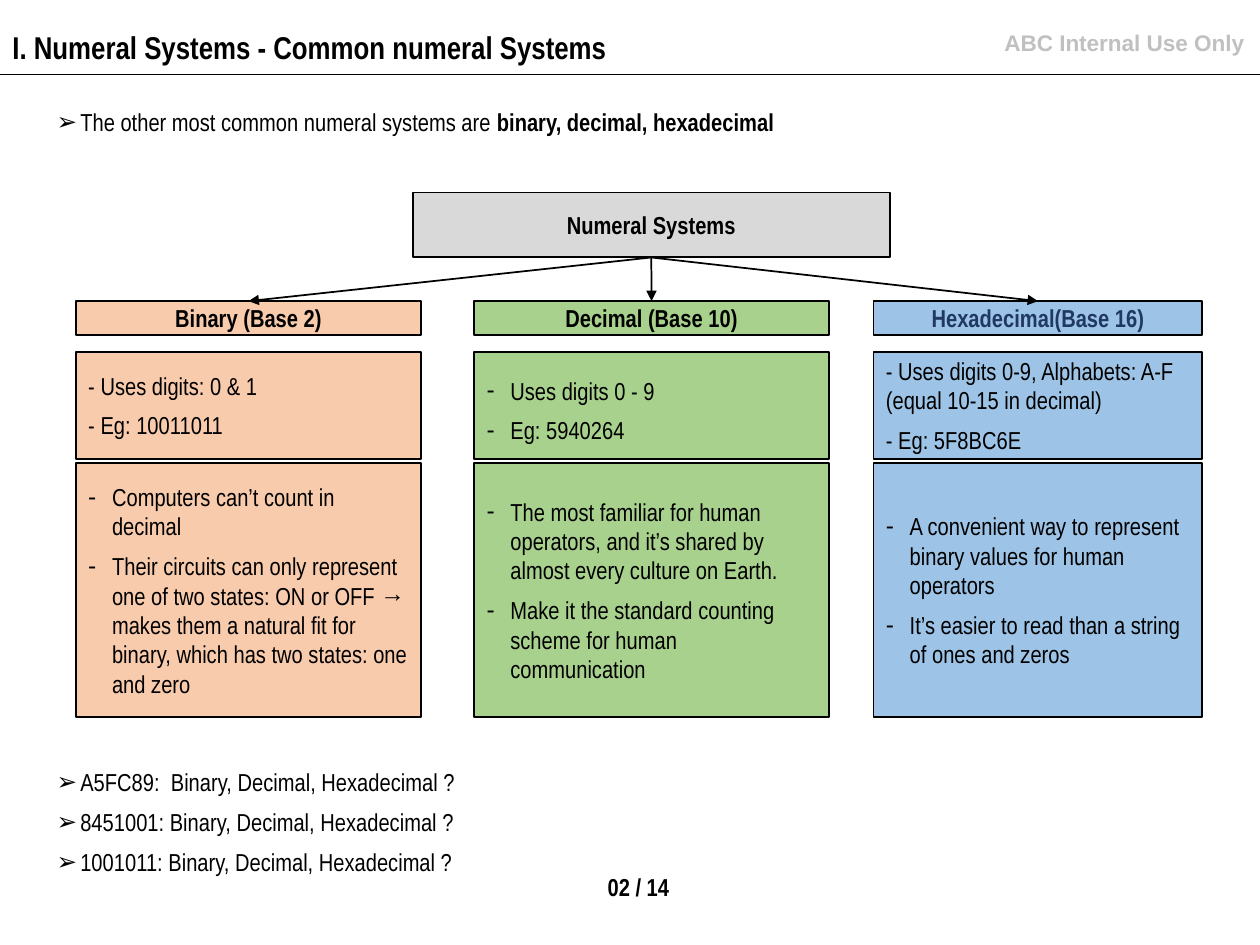
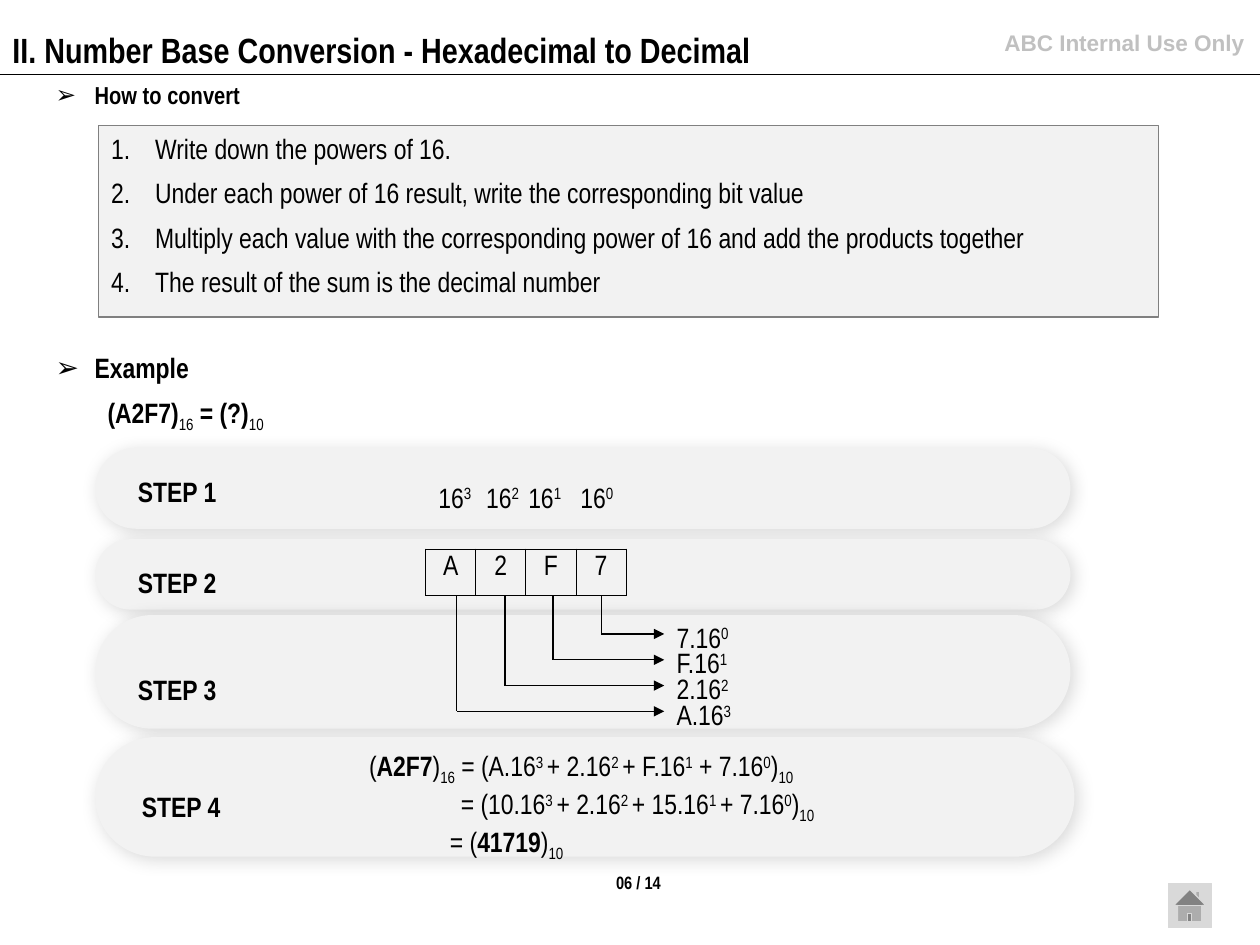
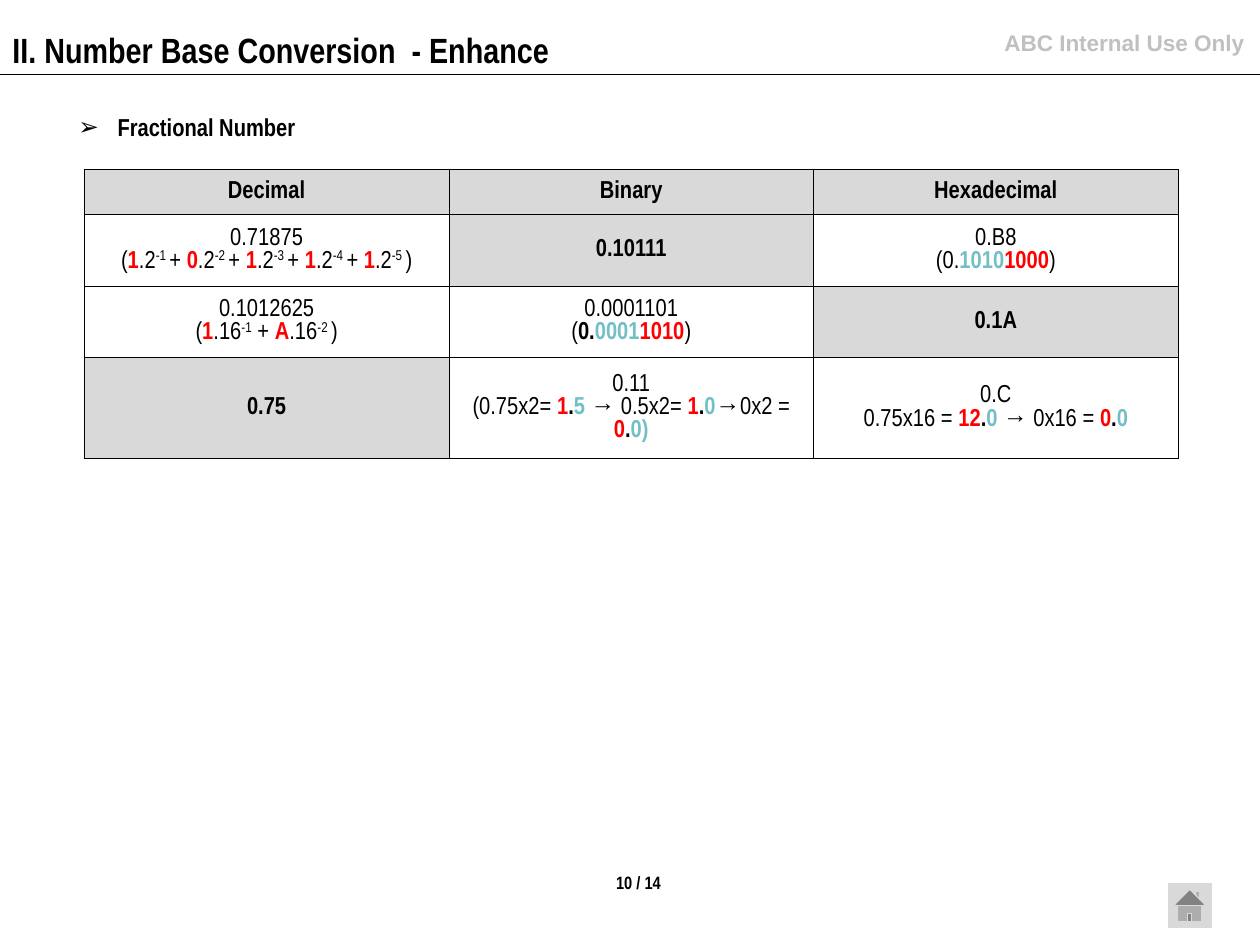
from dataclasses import dataclass, field
from typing import Any, NamedTuple, Optional, Union

from lxml import etree
from pptx import Presentation
from pptx.dml.color import RGBColor
from pptx.enum.shapes import MSO_CONNECTOR, MSO_SHAPE
from pptx.enum.text import MSO_ANCHOR, PP_ALIGN
from pptx.oxml.ns import qn
from pptx.util import Cm, Pt

RECT = MSO_SHAPE.RECTANGLE
PILL = MSO_SHAPE.ROUNDED_RECTANGLE
HOME = MSO_SHAPE.ACTION_BUTTON_HOME
STRAIGHT = MSO_CONNECTOR.STRAIGHT
LEFT, CENTER, RIGHT = PP_ALIGN.LEFT, PP_ALIGN.CENTER, PP_ALIGN.RIGHT
TOP, MIDDLE = MSO_ANCHOR.TOP, MSO_ANCHOR.MIDDLE
BOTTOM_SIDE, TOP_SIDE = 2, 0


@dataclass(frozen=True)
class Theme:
    font: str = "Arial Narrow"
    label_font: str = "Arial"
    black: str = "000000"
    white: str = "FFFFFF"
    label: str = "C0C0C0"
    gray: str = "D9D9D9"
    panel: str = "F2F2F2"
    border: str = "808080"
    orange: str = "F8CBAD"
    green: str = "A9D18E"
    blue: str = "9DC3E6"
    navy: str = "203864"
    red: str = "FF0000"
    teal: str = "72BFC5"
    title: float = 20
    small_title: float = 18
    large: float = 16
    body: float = 14
    label_size: float = 12.9
    page: float = 10.2


T = Theme()


class Box(NamedTuple):
    left: float
    top: float
    width: float
    height: float


class Run(NamedTuple):
    text: str
    bold: Optional[bool] = None
    color: Optional[str] = None
    base: int = 0


Line = list[Union[str, Run]]


@dataclass(frozen=True)
class Style:
    size: float = T.body
    bold: bool = False
    color: str = T.black
    font: str = T.font
    align: Any = LEFT
    anchor: Any = TOP
    before: float = 0
    spacing: Optional[float] = None
    bullet: str = ""
    indent: float = 0
    tabs: tuple[float, ...] = ()
    insets: tuple[float, float, float, float] = (0.25, 0.13, 0.25, 0.13)
    wrap: bool = True


@dataclass(frozen=True)
class Column:
    left: float
    width: float
    fill: str
    name: str
    digits: list[str]
    details: list[str]
    name_color: str = T.black
    digits_style: Style = field(default_factory=lambda: Style(anchor=MIDDLE, before=6))


class Step(NamedTuple):
    band: Box
    label_left: float
    label_top: float


class Cell(NamedTuple):
    lines: list[Line]
    fill: Optional[str] = None


BULLETS = Style(before=6, bullet="➢", indent=0.48)
DASHES = Style(before=6, bullet="-", indent=0.48, anchor=MIDDLE)
BOX_NAME = Style(bold=True, align=CENTER, anchor=MIDDLE)
HEADING = Style(bold=True, bullet="➢", indent=0.79, spacing=0.9, anchor=MIDDLE)
LARGE = Style(size=T.large)


def bold(text: str) -> Run:
    return Run(text, True)


def red(text: str) -> Run:
    return Run(text, True, T.red)


def teal(text: str) -> Run:
    return Run(text, True, T.teal)


def sup(text: str) -> Run:
    return Run(text, base=30)


def sub(text: str) -> Run:
    return Run(text, False, base=-25)


def rgb(color: str) -> RGBColor:
    return RGBColor.from_string(color)


def cm(values: tuple) -> list[int]:
    return [Cm(v) for v in values]


def apply(obj: Any, formats: dict[str, Any]) -> None:
    for name, value in formats.items():
        setattr(obj, name, value)


def node(parent: Any, tag: str, **attrs: Any) -> Any:
    return etree.SubElement(parent, qn(tag), {k: str(v) for k, v in attrs.items()})


def write_line(p: Any, line: Union[str, Line], st: Style) -> None:
    apply(p, {"alignment": st.align, "space_before": Pt(st.before)})
    if st.spacing:
        p.line_spacing = st.spacing
    pPr = p._p.get_or_add_pPr()
    if st.indent:
        pPr.set("marL", str(Cm(st.indent)))
        pPr.set("indent", str(-Cm(st.indent) if st.bullet else 0))
    if st.bullet == "1.":
        node(pPr, "a:buAutoNum", type="arabicPeriod")
    elif st.bullet:
        node(pPr, "a:buFont", typeface=T.label_font)
        node(pPr, "a:buChar", char=st.bullet)
    if st.tabs:
        tab_list = node(pPr, "a:tabLst")
        for tab in st.tabs:
            node(tab_list, "a:tab", pos=Cm(tab), algn="l")
    for item in [line] if isinstance(line, str) else line:
        part = Run(item) if isinstance(item, str) else item
        r = p.add_run()
        r.text = part.text
        apply(r.font, {
            "name": st.font,
            "size": Pt(st.size),
            "bold": st.bold if part.bold is None else part.bold,
        })
        r.font.color.rgb = rgb(part.color or st.color)
        if part.base:
            r._r.get_or_add_rPr().set("baseline", str(part.base * 1000))


def write(tf: Any, lines: list, st: Style) -> None:
    for i, line in enumerate(lines):
        write_line(tf.paragraphs[0] if i == 0 else tf.add_paragraph(), line, st)


def frame(sp: Any, lines: list, st: Style) -> None:
    sides = ("margin_left", "margin_top", "margin_right", "margin_bottom")
    apply(sp.text_frame, {
        "word_wrap": st.wrap,
        "vertical_anchor": st.anchor,
        **dict(zip(sides, cm(st.insets))),
    })
    write(sp.text_frame, lines, st)


def text(s: Any, box: Box, lines: list, st: Style) -> Any:
    sp = s.shapes.add_textbox(*cm(box))
    frame(sp, lines, st)
    return sp


def shape(s: Any, kind: Any, box: Box, fill: str, line: Optional[str] = None,
          weight: float = 1, lines: Optional[list] = None, st: Style = Style()) -> Any:
    sp = s.shapes.add_shape(kind, *cm(box))
    sp.shadow.inherit = False
    sp.fill.solid()
    sp.fill.fore_color.rgb = rgb(fill)
    if line:
        sp.line.color.rgb = rgb(line)
        sp.line.width = Pt(weight)
    else:
        sp.line.fill.background()
    if lines:
        frame(sp, lines, st)
    return sp


def connector(s: Any, x1: float, y1: float, x2: float, y2: float,
              weight: float = 0.75, arrow: bool = False) -> Any:
    sp = s.shapes.add_connector(STRAIGHT, *cm((x1, y1, x2, y2)))
    sp.line.color.rgb = rgb(T.black)
    sp.line.width = Pt(weight)
    if arrow:
        node(sp.line._get_or_add_ln(), "a:tailEnd", type="triangle")
    node(sp._element.spPr, "a:effectLst")
    return sp


def table(s: Any, left: float, top: float, col_width: float,
          heights: list[float], rows: list[list[Cell]], st: Style) -> None:
    width = col_width * len(rows[0])
    tbl = s.shapes.add_table(len(rows), len(rows[0]),
                             *cm((left, top, width, sum(heights)))).table
    apply(tbl, {"first_row": False, "horz_banding": False})
    for col in tbl.columns:
        col.width = Cm(col_width)
    for row, height, cells in zip(tbl.rows, heights, rows):
        row.height = Cm(height)
        for cell, content in zip(row.cells, cells):
            cell.vertical_anchor = st.anchor
            tcPr = cell._tc.get_or_add_tcPr()
            for side in ("a:lnL", "a:lnR", "a:lnT", "a:lnB"):
                fill = node(node(tcPr, side, w=Pt(0.5)), "a:solidFill")
                node(fill, "a:srgbClr", val=T.black)
            if content.fill:
                cell.fill.solid()
                cell.fill.fore_color.rgb = rgb(content.fill)
            else:
                cell.fill.background()
            write(cell.text_frame, content.lines, st)


def new_slide(prs: Any, title: str, page: str, title_size: float = T.title,
              title_width: float = 21.26, page_size: float = T.page,
              home: bool = True) -> Any:
    s = prs.slides.add_slide(prs.slide_layouts[6])
    connector(s, 0, 1.5, 25.4, 1.5)
    text(s, Box(18.34, 0.46, 6.99, 0.81), ["ABC Internal Use Only"],
         Style(size=T.label_size, bold=True, color=T.label, font=T.label_font, align=RIGHT))
    text(s, Box(0, 0.44, title_width, title_size * 0.056), [title],
         Style(size=title_size, bold=True))
    width = page_size * 0.09
    shape(s, RECT, Box(12.87 - width / 2, 17.58, width, page_size * 0.043), T.white,
          lines=[page], st=Style(size=page_size, bold=True, align=CENTER,
                                 insets=(0, 0, 0, 0), wrap=False))
    if home:
        shape(s, HOME, Box(23.55, 17.81, 0.87, 0.89), T.gray, T.gray, 0.75)
    return s


def numeral_systems(prs: Any) -> None:
    s = new_slide(prs, "I. Numeral Systems - Common numeral Systems", "02 / 14",
                  T.small_title, 13.13, T.body, home=False)
    text(s, Box(0.89, 2.03, 23.06, 0.86),
         [["The other most common numeral systems are ", bold("binary, decimal, hexadecimal")]],
         BULLETS)
    root = shape(s, RECT, Box(8.32, 3.88, 9.62, 1.31), T.gray, T.black,
                 lines=["Numeral Systems"], st=BOX_NAME)
    columns = [
        Column(1.53, 6.96, T.orange, "Binary (Base 2)",
               ["- Uses digits: 0 & 1", "- Eg: 10011011"],
               ["Computers can’t count in decimal",
                "Their circuits can only represent one of two states: ON or OFF → makes them "
                "a natural fit for binary, which has two states: one and zero"]),
        Column(9.56, 7.15, T.green, "Decimal (Base 10)",
               ["Uses digits 0 - 9", "Eg: 5940264"],
               ["The most familiar for human operators, and it’s shared by almost every "
                "culture on Earth.",
                "Make it the standard counting scheme for human communication"],
               digits_style=Style(before=6, bullet="-", indent=0.48, anchor=MIDDLE,
                                  insets=(0.25, 0.33, 0.25, 0.13))),
        Column(17.61, 6.63, T.blue, "Hexadecimal(Base 16)",
               ["- Uses digits 0-9, Alphabets: A-F (equal 10-15 in decimal)", "- Eg: 5F8BC6E"],
               ["A convenient way to represent binary values for human operators",
                "It’s easier to read than a string of ones and zeros"],
               name_color=T.navy),
    ]
    for c in columns:
        name_style = Style(bold=True, color=c.name_color, align=CENTER, anchor=MIDDLE)
        parts = [(6.07, 0.69, [c.name], name_style),
                 (7.09, 2.16, c.digits, c.digits_style),
                 (9.33, 5.13, c.details, DASHES)]
        name, _, _ = [shape(s, RECT, Box(c.left, top, c.width, height), c.fill, T.black,
                            lines=lines, st=st) for top, height, lines, st in parts]
        arrow = connector(s, 13.13, 5.19, c.left + c.width / 2, 6.07, 1, arrow=True)
        arrow.begin_connect(root, BOTTOM_SIDE)
        arrow.end_connect(name, TOP_SIDE)
    text(s, Box(0.89, 15.34, 23.06, 2.49),
         [f"{number} Binary, Decimal, Hexadecimal ?"
          for number in ("A5FC89: ", "8451001:", "1001011:")], BULLETS)


def step_band(s: Any, number: int, step: Step) -> None:
    sp = shape(s, PILL, step.band, T.panel)
    sp.adjustments[0] = 0.5
    effects = sp._element.spPr.find(qn("a:effectLst"))
    shadow = node(effects, "a:outerShdw", blurRad=Pt(10), dist=Pt(2), dir=45 * 60000,
                  algn="tl", rotWithShape=0)
    node(node(shadow, "a:srgbClr", val=T.black), "a:alpha", val=15000)
    text(s, Box(step.label_left, step.label_top, 2.11, 0.94), [f"STEP {number}"],
         Style(size=T.large, bold=True, wrap=False))


def hexadecimal_to_decimal(prs: Any) -> None:
    s = new_slide(prs, "II. Number Base Conversion - Hexadecimal to Decimal", "06 / 14")
    text(s, Box(0.87, 1.35, 21.89, 1.19), ["How to convert"], HEADING)
    shape(s, RECT, Box(1.99, 2.53, 21.36, 3.86), T.panel, T.border, 0.75, [
        "Write down the powers of 16.",
        "Under each power of 16 result, write the corresponding bit value",
        "Multiply each value with the corresponding power of 16 and add the products together",
        "The result of the sum is the decimal number",
    ], Style(size=T.large, before=6, bullet="1.", indent=0.89))
    text(s, Box(0.87, 6.86, 21.89, 1.19), ["Example"],
         Style(size=T.large, bold=True, bullet="➢", indent=0.79, spacing=0.9, anchor=MIDDLE))
    text(s, Box(1.92, 7.87, 21.89, 0.91),
         [["(A2F7)", sub("16"), " = (?)", sub("10")]],
         Style(size=T.large, bold=True, spacing=0.9, anchor=MIDDLE))

    steps = [
        Step(Box(1.92, 9.03, 19.66, 1.63), 2.53, 9.44),
        Step(Box(1.92, 10.87, 19.66, 1.42), 2.53, 11.28),
        Step(Box(1.92, 12.4, 19.66, 2.29), 2.53, 13.43),
        Step(Box(1.92, 14.86, 19.74, 2.41), 2.61, 15.78),
    ]
    for number, step in enumerate(steps, 1):
        step_band(s, number, step)

    text(s, Box(8.59, 9.55, 5.33, 0.94),
         [["16", sup("3"), "\t16", sup("2"), "\t16", sup("1"), "\t16", sup("0")]],
         Style(size=T.large, tabs=(0.96, 1.81, 2.86)))
    table(s, 8.58, 11.07, 1.01, [0.94], [[Cell([[digit]], T.panel) for digit in "A2F7"]],
          Style(size=T.large, align=CENTER))
    for i, digit in enumerate("7F2A"):
        x, y = 12.12 - 0.97 * i, 12.78 + 0.52 * i
        connector(s, x, 12.01, x, y)
        connector(s, x, y, 13.39, y, arrow=True)
        text(s, Box(13.39, y - 0.41, 2.03, 0.94), [[f"{digit}.16", sup(str(i))]], LARGE)

    result = text(s, Box(7.19, 14.96, 12.42, 2.77), [
        ["(", bold("A2F7"), ")", sub("16"), " = (A.16", sup("3 "), "+ 2.16", sup("2 "),
         "+ F.16", sup("1"), " + 7.16", sup("0"), ")", sub("10")],
        ["= (10.16", sup("3 "), "+ 2.16", sup("2 "), "+ 15.16", sup("1 "),
         "+ 7.16", sup("0"), ")", sub("10")],
        ["= (", bold("41719"), ")", sub("10")],
    ], LARGE)
    for p, indent in zip(result.text_frame.paragraphs[1:], (1.85, 1.63)):
        p._p.get_or_add_pPr().set("marL", str(Cm(indent)))


def fractions(prs: Any) -> None:
    s = new_slide(prs, "II. Number Base Conversion  - Enhance", "10 / 14")
    text(s, Box(1.33, 1.99, 5.13, 1.19), ["Fractional Number"], HEADING)
    binary_sum: Line = ["("]
    for i, bit in enumerate("10111", 1):
        binary_sum += ["+ "] * (i > 1) + [red(bit), ".2", sup(f"-{i} ")]
    rows = [
        [Cell([[bold(name)]], T.gray) for name in ("Decimal", "Binary", "Hexadecimal")],
        [Cell([["0.71875"], binary_sum + [")"]]),
         Cell([[bold("0.10111")]], T.gray),
         Cell([["0.B8"], ["(0.", teal("1010"), red("1000"), ")"]])],
        [Cell([["0.1012625"],
               ["(", red("1"), ".16", sup("-1"), " + ", red("A"), ".16", sup("-2 "), ")"]]),
         Cell([["0.0001101"], ["(", bold("0."), teal("0001"), red("1010"), ")"]]),
         Cell([[bold("0.1A")]], T.gray)],
        [Cell([[bold("0.75")]], T.gray),
         Cell([["0.11"],
               ["(0.75x2= ", red("1"), bold("."), teal("5 "), "→ 0.5x2= ", red("1"), bold("."),
                teal("0"), "→0x2 = ", red("0"), bold("."), teal("0)")]]),
         Cell([["0.C"],
               ["0.75x16 = ", red("12"), bold("."), teal("0 "), "→ 0x16 = ", red("0"),
                bold("."), teal("0")]])],
    ]
    table(s, 1.7, 3.41, 7.35, [0.91, 1.45, 1.44, 2.03], rows,
          Style(align=CENTER, anchor=MIDDLE, spacing=1.0))


def main() -> None:
    prs = Presentation()
    apply(prs, {"slide_width": Cm(25.4), "slide_height": Cm(19.05)})
    numeral_systems(prs)
    hexadecimal_to_decimal(prs)
    fractions(prs)
    prs.save("out.pptx")


if __name__ == "__main__":
    main()
